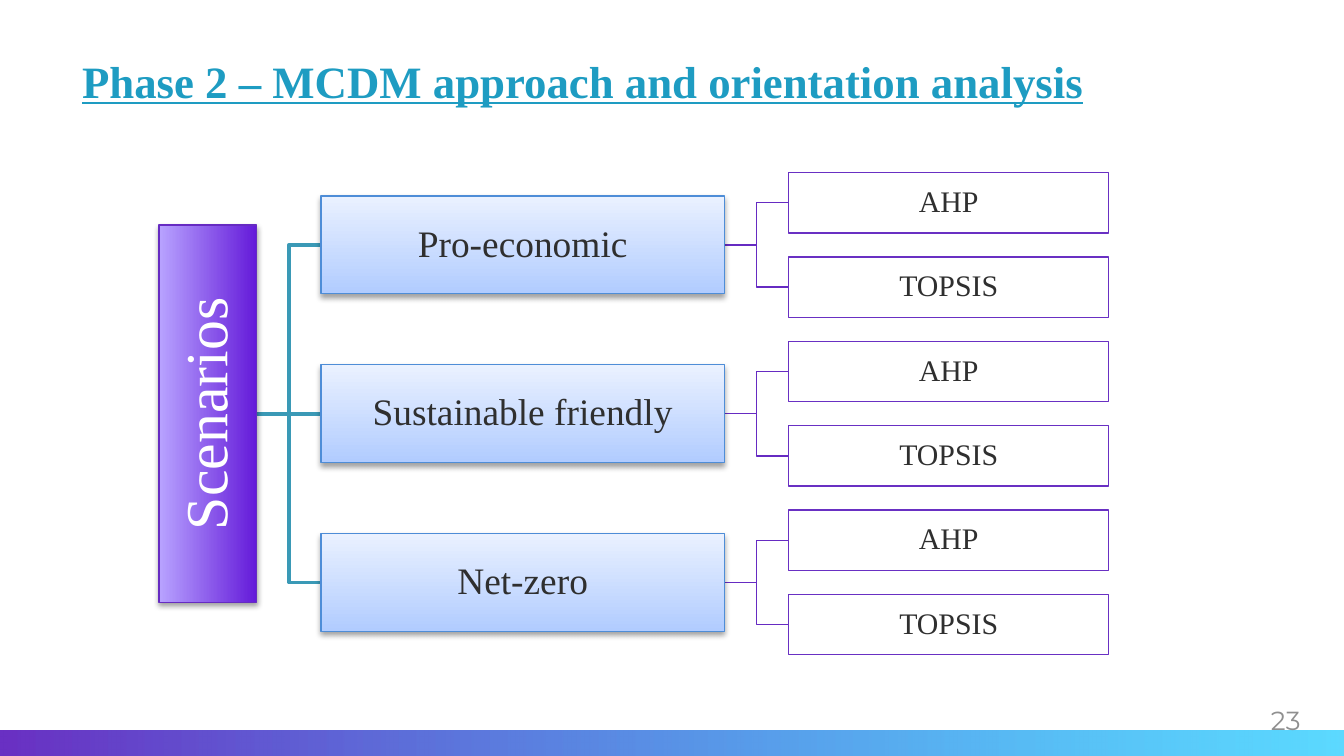
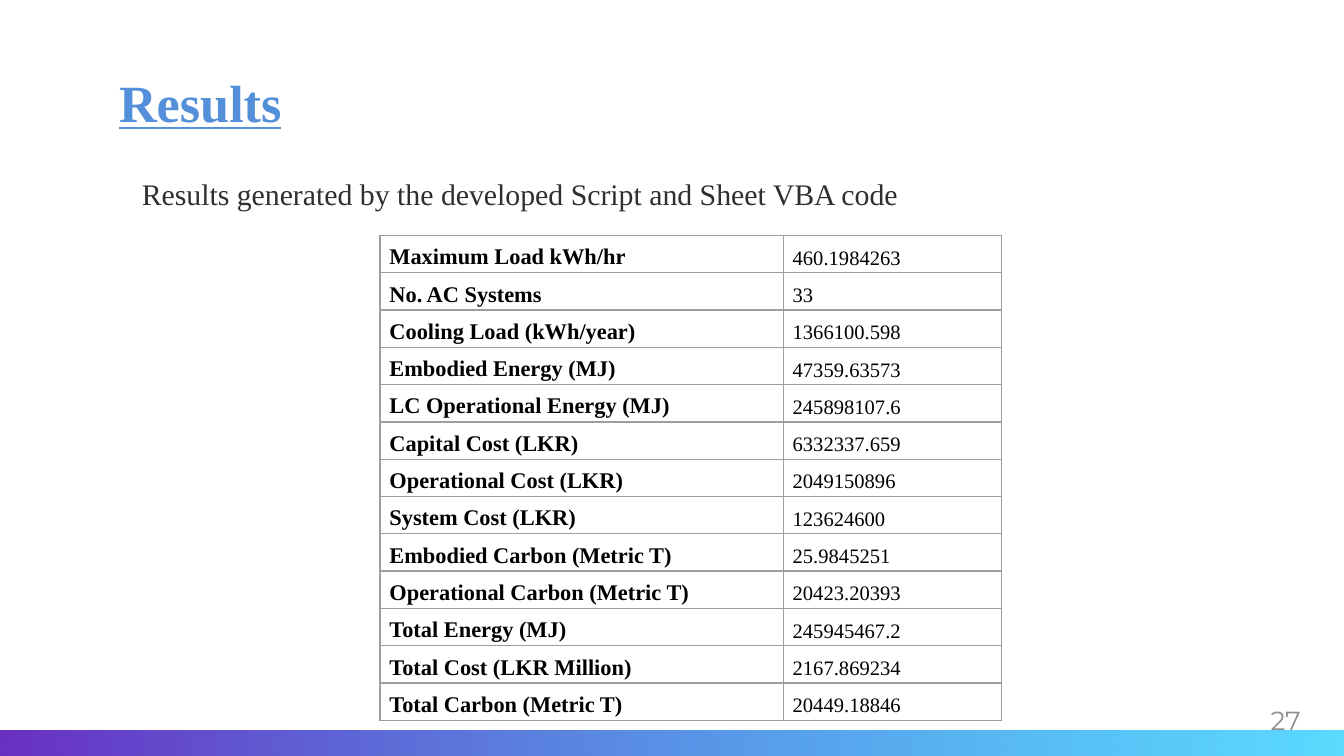
from lxml import etree
from pptx import Presentation
from pptx.dml.color import RGBColor
from pptx.enum.shapes import MSO_CONNECTOR, MSO_SHAPE
from pptx.enum.text import MSO_ANCHOR, PP_ALIGN
from pptx.oxml import parse_xml
from pptx.oxml.ns import nsdecls, qn
from pptx.util import Cm, Pt

RECT = MSO_SHAPE.RECTANGLE
ELBOW, STRAIGHT = MSO_CONNECTOR.ELBOW, MSO_CONNECTOR.STRAIGHT
TOP, MIDDLE, BOTTOM = MSO_ANCHOR.TOP, MSO_ANCHOR.MIDDLE, MSO_ANCHOR.BOTTOM
LEFT, CENTER = PP_ALIGN.LEFT, PP_ALIGN.CENTER

# Colours and fonts
WHITE = RGBColor(0xFF, 0xFF, 0xFF)
BLACK = RGBColor(0x00, 0x00, 0x00)
INK = RGBColor(0x2F, 0x2F, 0x2F)
GREY = RGBColor(0x8F, 0x8F, 0x8F)
TEAL = RGBColor(0x1E, 0x9C, 0xC2)
TEAL_LINE = RGBColor(0x3A, 0x99, 0xB6)
BLUE = RGBColor(0x53, 0x90, 0xD9)
BLUE_LINE = RGBColor(0x4E, 0x8D, 0xD7)
PURPLE = RGBColor(0x69, 0x30, 0xC3)
PURPLE_LINE = RGBColor(0x66, 0x2B, 0xC2)
BAND = (PURPLE, RGBColor(0x00, 0xC4, 0xFF))
ROOT_FILL = (RGBColor(0x64, 0x1A, 0xD9), RGBColor(0xB8, 0xA3, 0xFF))
BRANCH_FILL = (RGBColor(0xB1, 0xCC, 0xFF), RGBColor(0xEA, 0xF1, 0xFF))
BORDER = "9E9E9E"
SERIF, SANS = "Times New Roman", "Montserrat"

# Slide content
SCENARIOS = ["Pro-economic", "Sustainable friendly", "Net-zero"]
METHODS = ["AHP", "TOPSIS"]
RESULTS = [
    ("Maximum Load kWh/hr", "460.1984263"),
    ("No. AC Systems", "33"),
    ("Cooling Load (kWh/year)", "1366100.598"),
    ("Embodied Energy (MJ)", "47359.63573"),
    ("LC Operational Energy (MJ)", "245898107.6"),
    ("Capital Cost (LKR)", "6332337.659"),
    ("Operational Cost (LKR)", "2049150896"),
    ("System Cost (LKR)", "123624600"),
    ("Embodied Carbon (Metric T)", "25.9845251"),
    ("Operational Carbon (Metric T)", "20423.20393"),
    ("Total Energy (MJ)", "245945467.2"),
    ("Total Cost (LKR Million)", "2167.869234"),
    ("Total Carbon (Metric T)", "20449.18846"),
]


def write(tf, text, size, color, font=SERIF, bold=False, underline=False,
          align=LEFT, spacing=None, indent=0):
    tf.text = text
    tf.word_wrap = True
    p = tf.paragraphs[0]
    p.alignment = align
    if spacing:
        p.line_spacing = spacing
    if indent:
        p._p.get_or_add_pPr().set("marL", str(Cm(indent)))
    r = p.runs[0]
    r.font.name, r.font.size = font, Pt(size)
    r.font.color.rgb = color
    r.font.bold, r.font.underline = bold, underline


def set_margins(tf, margin):
    tf.margin_left = tf.margin_right = Cm(margin)
    tf.margin_top = tf.margin_bottom = Cm(margin)


def place(sp, x, y, w, h):
    sp.left, sp.top, sp.width, sp.height = Cm(x), Cm(y), Cm(w), Cm(h)


def fill_gradient(sp, colors, angle):
    sp.fill.gradient()
    sp.fill.gradient_angle = angle
    for stop, color in zip(sp.fill.gradient_stops, colors):
        stop.color.rgb = color


def add_shadow(sp):
    effects = sp._element.spPr.find(qn("a:effectLst"))
    effects.append(parse_xml(
        f'<a:outerShdw {nsdecls("a")} blurRad="{Pt(3.1)}" dist="{Pt(1.7)}" '
        'dir="5400000" rotWithShape="0"><a:srgbClr val="000000">'
        '<a:alpha val="37000"/></a:srgbClr></a:outerShdw>'))


def add_box(s, cx, cy, w, h, text, size, color, line, gradient=None):
    """Add a labelled box centred on (cx, cy)."""
    sp = s.shapes.add_shape(RECT, Cm(cx - w / 2), Cm(cy - h / 2), Cm(w), Cm(h))
    sp.shadow.inherit = False
    if gradient:
        fill_gradient(sp, gradient, 90)
        add_shadow(sp)
    else:
        sp.fill.solid()
        sp.fill.fore_color.rgb = WHITE
    sp.line.color.rgb, sp.line.width = line, Pt(0.75)
    tf = sp.text_frame
    write(tf, text, size, color, align=CENTER, spacing=0.9)
    set_margins(tf, 0.03)
    tf.vertical_anchor = MIDDLE
    return sp


def add_link(s, x1, y1, x2, y2, color, width):
    kind = STRAIGHT if y1 == y2 else ELBOW
    c = s.shapes.add_connector(kind, Cm(x1), Cm(y1), Cm(x2), Cm(y2))
    c.line.color.rgb, c.line.width = color, Pt(width)
    etree.SubElement(c._element.spPr, qn("a:effectLst"))


def add_text(s, x, y, w, h, text, size, color, **style):
    tf = s.shapes.add_textbox(Cm(x), Cm(y), Cm(w), Cm(h)).text_frame
    write(tf, text, size, color, **style)
    return tf


def add_band(s, width):
    """Add the footer band, which fades towards the right."""
    band = s.shapes.add_shape(RECT, 0, Cm(13.81), width, Cm(0.48))
    band.shadow.inherit = False
    band.line.fill.background()
    fill_gradient(band, BAND, 0)
    last_color = band._element.spPr.findall(".//" + qn("a:srgbClr"))[-1]
    etree.SubElement(last_color, qn("a:alpha")).set("val", "64000")


def set_borders(cell):
    tcPr = cell._tc.get_or_add_tcPr()
    for side in ("lnL", "lnR", "lnT", "lnB"):
        tcPr.append(parse_xml(
            f'<a:{side} {nsdecls("a")} w="{Pt(0.75)}"><a:solidFill>'
            f'<a:srgbClr val="{BORDER}"/></a:solidFill></a:{side}>'))


def add_results_table(s, x, y, widths, height):
    frame = s.shapes.add_table(len(RESULTS), 2, Cm(x), Cm(y), Cm(sum(widths)),
                               Cm(height))
    table = frame.table
    table.first_row = table.horz_banding = False
    for column, width in zip(table.columns, widths):
        column.width = Cm(width)
    for i, row in enumerate(RESULTS):
        for j, text in enumerate(row):
            cell = table.cell(i, j)
            set_borders(cell)
            cell.fill.background()
            cell.margin_left = cell.margin_right = Cm(0.18)
            cell.margin_top = cell.margin_bottom = 0
            # The larger labels get tighter lines to keep the row height
            size, spacing = (11, 1.5) if j else (12, 1.38)
            write(cell.text_frame, text, size, BLACK, bold=j == 0,
                  spacing=spacing)


def new_slide(prs, number, title, box, size, color, anchor, indent=0):
    """Add a slide with the shared title style, footer band and page number."""
    s = prs.slides.add_slide(prs.slide_layouts[5])
    sp = s.shapes.title
    place(sp, *box)
    tf = sp.text_frame
    write(tf, title, size, color, bold=True, underline=True, indent=indent)
    set_margins(tf, 0.25)
    tf.vertical_anchor = anchor

    add_band(s, prs.slide_width)
    tf = add_text(s, 23.65, 13.24, 1.3, 0.76, str(number), 14, GREY,
                  font=SANS, align=CENTER)
    set_margins(tf, 0)
    tf.vertical_anchor = MIDDLE
    return s


def add_scenario_tree(s):
    root_x, mid_y, root_w, root_h = 3.93, 7.82, 1.85, 7.13
    branch_x, branch_w, branch_h, pitch = 9.88, 7.62, 1.85, 3.19
    leaf_x, leaf_w, leaf_h = 17.93, 6.05, 1.14

    branches = [(name, mid_y + (i - 1) * pitch)
                for i, name in enumerate(SCENARIOS)]
    leaves = [(method, y, y + (j - 0.5) * pitch / 2)
              for _, y in branches for j, method in enumerate(METHODS)]

    # Links lie behind the boxes
    for _, y in branches:
        add_link(s, root_x + root_w / 2, mid_y, branch_x - branch_w / 2, y,
                 TEAL_LINE, 2)
    for _, branch_y, y in leaves:
        add_link(s, branch_x + branch_w / 2, branch_y, leaf_x - leaf_w / 2, y,
                 PURPLE_LINE, 0.75)

    # Boxes; the root is turned to read upwards
    root = add_box(s, root_x, mid_y, root_h, root_w, "Scenarios", 32, WHITE,
                   PURPLE_LINE, ROOT_FILL)
    root.rotation = 270
    for name, y in branches:
        add_box(s, branch_x, y, branch_w, branch_h, name, 20, INK, BLUE_LINE,
                BRANCH_FILL)
    for method, _, y in leaves:
        add_box(s, leaf_x, y, leaf_w, leaf_h, method, 16, INK, PURPLE)


def main():
    prs = Presentation()
    prs.slide_width, prs.slide_height = Cm(25.4), Cm(14.29)

    # Scenario tree
    s = new_slide(prs, 23, "Phase 2 – MCDM approach and orientation analysis",
                  (0.87, 0.76, 23.39, 1.7), 24, TEAL, TOP, indent=0.43)
    add_scenario_tree(s)

    # Results table
    s = new_slide(prs, 27, "Results", (2, 1.06, 21.41, 1.7), 28, BLUE, BOTTOM)
    tf = add_text(s, 2, 3.07, 22.25, 1.3,
                  "Results generated by the developed Script and Sheet VBA code",
                  16, INK, indent=0.43)
    set_margins(tf, 0.25)
    add_results_table(s, 7.18, 4.45, (7.62, 4.13), 9.17)

    prs.save("out.pptx")


if __name__ == "__main__":
    main()
